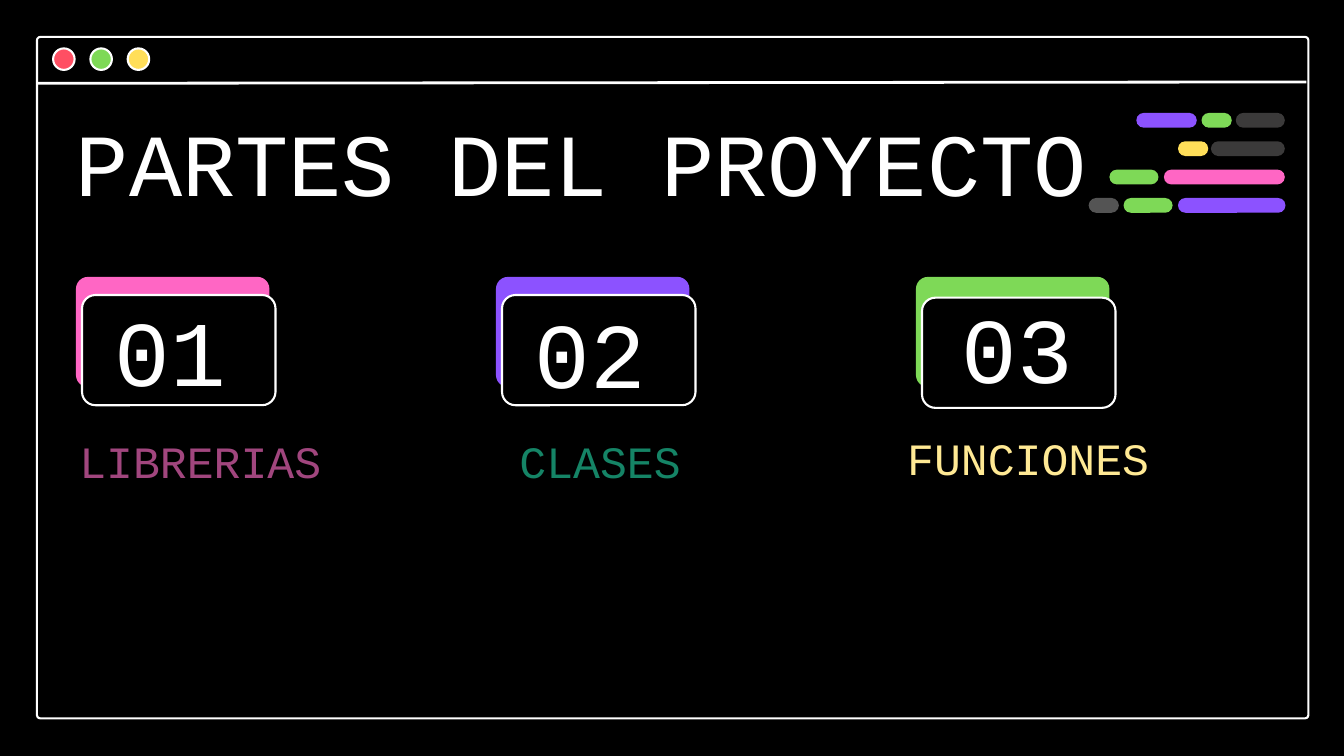
from lxml import etree
from pptx import Presentation
from pptx import util as u
from pptx.dml.color import RGBColor
from pptx.enum import shapes, text
from pptx.oxml.ns import qn

HUES = {
    "black": "000000", "white": "FFFFFF", "red": "FF4F63", "green": "7ED957",
    "yellow": "FFDE59", "pink": "FF66C4", "violet": "8C52FF",
    "dark": "3B3A3A", "gray": "545454",
    "plum": "A1467E", "teal": "158466", "cream": "FFE994",
}
KIND = shapes.MSO_SHAPE


def hue(name):
    return RGBColor.from_string(HUES[name])


class Deck:
    font = "Courier New"
    space = 1.19
    edge = 2.25

    def __init__(self, wide, high):
        self.file = Presentation()
        self.file.slide_width = u.Inches(wide)
        self.file.slide_height = u.Inches(high)
        self.slide = self.file.slides.add_slide(self.file.slide_layouts[6])
        back = self.slide.background.fill
        back.solid()
        back.fore_color.rgb = hue("black")

    def shape(self, kind, box, fill=None, line=None, round=None):
        """Draw a preset shape; round is the corner radius in inches."""
        item = self.slide.shapes.add_shape(kind, *map(u.Inches, box))
        item.shadow.inherit = False
        if round is not None:
            item.adjustments[0] = round / min(box[2:])
        if fill:
            item.fill.solid()
            item.fill.fore_color.rgb = hue(fill)
        else:
            item.fill.background()
        if line:
            item.line.color.rgb = hue(line)
            item.line.width = u.Pt(self.edge)
        else:
            item.line.fill.background()

    def card(self, box, fill=None, line=None, round=0.2):
        self.shape(KIND.ROUNDED_RECTANGLE, box, fill, line, round)

    def dot(self, box, fill):
        self.shape(KIND.OVAL, box, fill, "white")

    def line(self, start, end, color, width):
        item = self.slide.shapes.add_connector(
            shapes.MSO_CONNECTOR.STRAIGHT, *map(u.Inches, start + end))
        item.line.color.rgb = hue(color)
        item.line.width = u.Pt(width)
        etree.SubElement(item.element.spPr, qn("a:effectLst"))

    def text(self, box, words, size, color):
        frame = self.slide.shapes.add_textbox(*map(u.Inches, box)).text_frame
        frame.word_wrap = True
        frame.auto_size = text.MSO_AUTO_SIZE.SHAPE_TO_FIT_TEXT
        frame.margin_left = frame.margin_right = 0
        frame.margin_top = frame.margin_bottom = 0
        para = frame.paragraphs[0]
        para.line_spacing = self.space
        run = para.add_run()
        run.text = words
        run.font.name = self.font
        run.font.size = u.Pt(size)
        run.font.color.rgb = hue(color)


def window(deck):
    deck.card((0.55, 0.55, 18.92, 10.14), line="white", round=0.05)
    deck.line((0.55, 1.24), (19.44, 1.22), "white", 3)
    for i, fill in enumerate(("red", "green", "yellow")):
        deck.dot((0.79 + 0.555 * i, 0.72, 0.32, 0.32), fill)


def parts(deck):
    # back colour, front top, number, number left and top,
    # label, label box, label colour
    rows = (
        ("pink", 4.39, "01", 1.71, 4.06,
         "LIBRERIAS", (1.18, 6.3, 4.8, 0.95), "plum"),
        ("violet", 4.39, "02", 7.96, 4.09,
         "CLASES", (7.73, 6.3, 5.02, 0.95), "teal"),
        ("green", 4.43, "03", 14.31, 4.01,
         "FUNCIONES", (13.5, 6.25, 3.75, 0.95), "cream"),
    )
    for i, (fill, top, num, left, high, label, box, color) in enumerate(rows):
        x = 1.13 + 6.25 * i
        deck.card((x, 4.12, 2.88, 1.64), fill, round=0.18)
        deck.card((x + 0.09, top, 2.88, 1.64), "black", "white")
        deck.text((left, high, 1.89, 1.97), num, 99.2, "white")
        deck.text(box, label, 48, color)


def code(deck):
    """Draw the rows of coloured pills that stand for lines of code."""
    rows = (
        ((16.91, 0.9, "violet"), (17.88, 0.45, "green"), (18.39, 0.73, "dark")),
        ((17.53, 0.45, "yellow"), (18.02, 1.1, "dark")),
        ((16.51, 0.73, "green"), (17.32, 1.8, "pink")),
        ((16.2, 0.45, "gray"), (16.72, 0.73, "green"), (17.53, 1.6, "violet")),
    )
    for i, row in enumerate(rows):
        for left, wide, fill in row:
            deck.card((left, 1.68 + 0.422 * i, wide, 0.22), fill, round=0.11)


def main():
    deck = Deck(20, 11.25)
    window(deck)
    deck.text((1.13, 1.31, 15.48, 1.88), "PARTES DEL PROYECTO", 95, "white")
    parts(deck)
    code(deck)
    deck.file.save("out.pptx")


if __name__ == "__main__":
    main()
